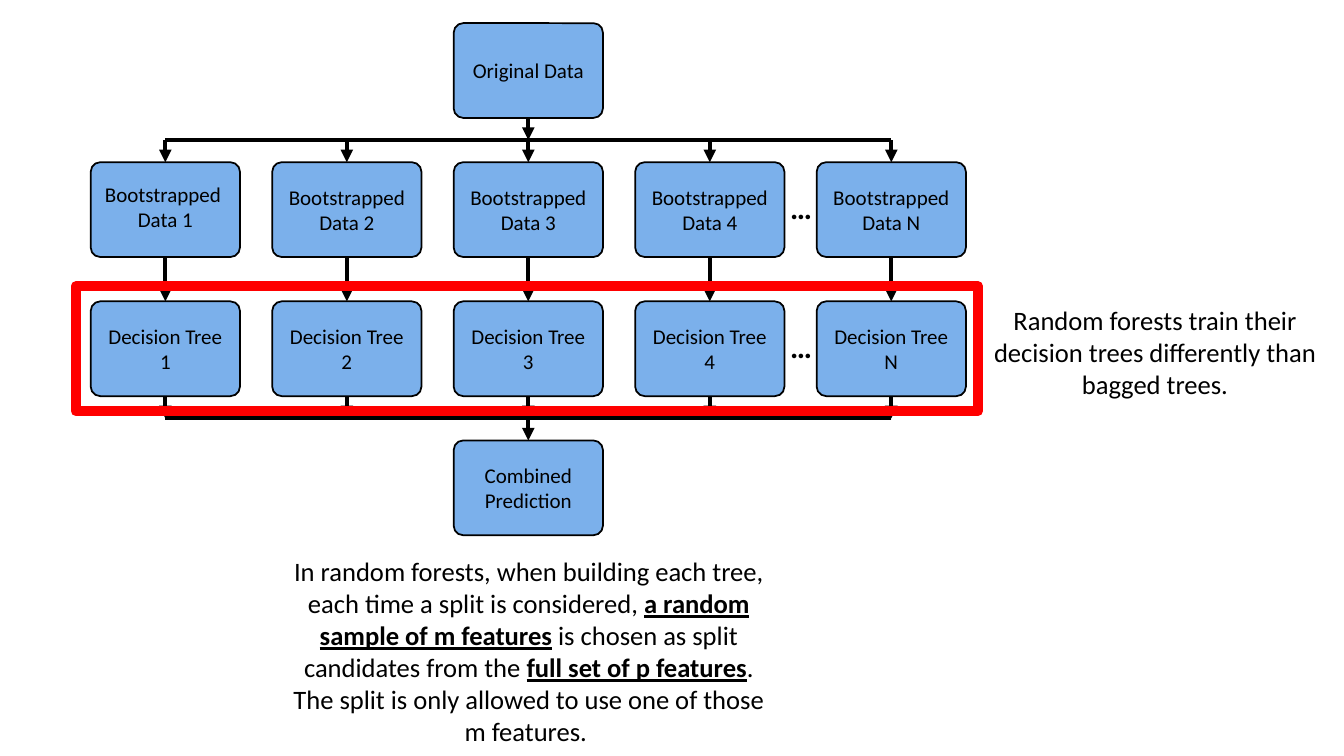
from pptx import Presentation
from pptx.dml.color import RGBColor
from pptx.enum.shapes import MSO_CONNECTOR, MSO_SHAPE
from pptx.enum.text import MSO_ANCHOR, PP_ALIGN
from pptx.oxml.ns import qn
from pptx.util import Inches, Pt
from lxml.etree import SubElement

deck = Presentation()
deck.slide_width, deck.slide_height = Inches(13.33), Inches(7.5)
slide = deck.slides.add_slide(deck.slide_layouts[6])
shapes = slide.shapes

# Grid: five columns, four rows
LEFT, TOP = 0.9, 0.23
STEP_X, STEP_Y = 1.8, 1.38
WIDE, HIGH = 1.48, 0.94
GAP = STEP_Y - HIGH
lefts = [LEFT + STEP_X * i for i in range(5)]
tops = [TOP + STEP_Y * i for i in range(4)]
mids = [x + WIDE / 2 for x in lefts]
rails = [y - GAP / 2 for y in tops]


def write(shape, lines, size):
    """Fill a shape with centred lines; each run is (text, strong)."""
    frame = shape.text_frame
    frame.word_wrap = True
    for i, line in enumerate(lines):
        para = frame.add_paragraph() if i else frame.paragraphs[0]
        para.alignment = PP_ALIGN.CENTER
        for text, strong in line:
            run = para.add_run()
            run.text = text
            font = run.font
            font.name, font.size = "Calibri", Pt(size)
            font.color.rgb = RGBColor.from_string("000000")
            font.bold = font.underline = strong
    return frame


def link(x1, y1, x2, y2, arrow=True):
    line = shapes.add_connector(MSO_CONNECTOR.STRAIGHT, *map(Inches, (x1, y1, x2, y2)))
    line.line.color.rgb = RGBColor.from_string("000000")
    line.line.width = Pt(3)
    props = line._element.spPr
    if arrow:
        SubElement(props.find(qn("a:ln")), qn("a:tailEnd"), type="triangle")
    SubElement(props, qn("a:effectLst"))


# Boxes as (column, row, lines)
boxes = [(2, 0, ["Original Data"]), (2, 3, ["Combined Prediction"])]
for col, tag in enumerate("1234N"):
    data = ["Bootstrapped ", "Data 1"] if tag == "1" else [f"Bootstrapped Data {tag}"]
    boxes += [(col, 1, data), (col, 2, [f"Decision Tree {tag}"])]

for col, row, lines in boxes:
    box = shapes.add_shape(MSO_SHAPE.ROUNDED_RECTANGLE,
                           *map(Inches, (lefts[col], tops[row], WIDE, HIGH)))
    box.adjustments[0] = 0.1
    box.shadow.inherit = False
    box.fill.solid()
    box.fill.fore_color.rgb = RGBColor.from_string("7BB0EB")
    box.line.color.rgb = RGBColor.from_string("000000")
    box.line.width = Pt(1.25)
    frame = write(box, [[(line, False)] for line in lines], 15)
    frame.vertical_anchor = MSO_ANCHOR.MIDDLE
    if len(lines) > 1:
        frame.margin_bottom = Inches(0.11)

# Dots between the last two columns
for row in (1, 2):
    dots = shapes.add_textbox(*map(Inches, (7.75, tops[row] + 0.25, 0.39, 0.43)))
    frame = write(dots, [[("…", False)]], 22)
    frame.margin_left = frame.margin_right = 0
    frame.vertical_anchor = MSO_ANCHOR.MIDDLE
    frame.paragraphs[0].line_spacing = 0.9
    frame.paragraphs[0].runs[0].font.bold = True

# Rails, and arrows into and out of them
for y in (rails[1], rails[3]):
    link(mids[-1], y, mids[0], y, arrow=False)
link(mids[2], tops[0] + HIGH, mids[2], rails[1])
link(mids[2], rails[3], mids[2], tops[3])
for x in mids:
    link(x, rails[1], x, tops[1])
    link(x, tops[1] + HIGH, x, tops[2])
    link(x, tops[2] + HIGH, x, rails[3])

# Red frame round the trees
ring = shapes.add_shape(MSO_SHAPE.RECTANGLE, *map(Inches, (0.75, 2.84, 8.95, 1.24)))
ring.shadow.inherit = False
ring.fill.background()
ring.line.color.rgb = RGBColor.from_string("FF0000")
ring.line.width = Pt(7)

# Notes below and beside the chart
below = [
    ("In random forests, when building each tree, each time a split is considered, ", False),
    ("a random sample of m features", True),
    (" is chosen as split candidates from the ", False),
    ("full set of p features", True),
    (". The split is only allowed to use one of those m features. ", False),
]
aside = [("Random forests train their decision trees differently than bagged trees.", False)]
for area, runs in (((2.78, 5.46, 4.93, 2.34), below), ((9.71, 2.97, 3.49, 1.06), aside)):
    write(shapes.add_textbox(*map(Inches, area)), [runs], 19)

deck.save("out.pptx")
